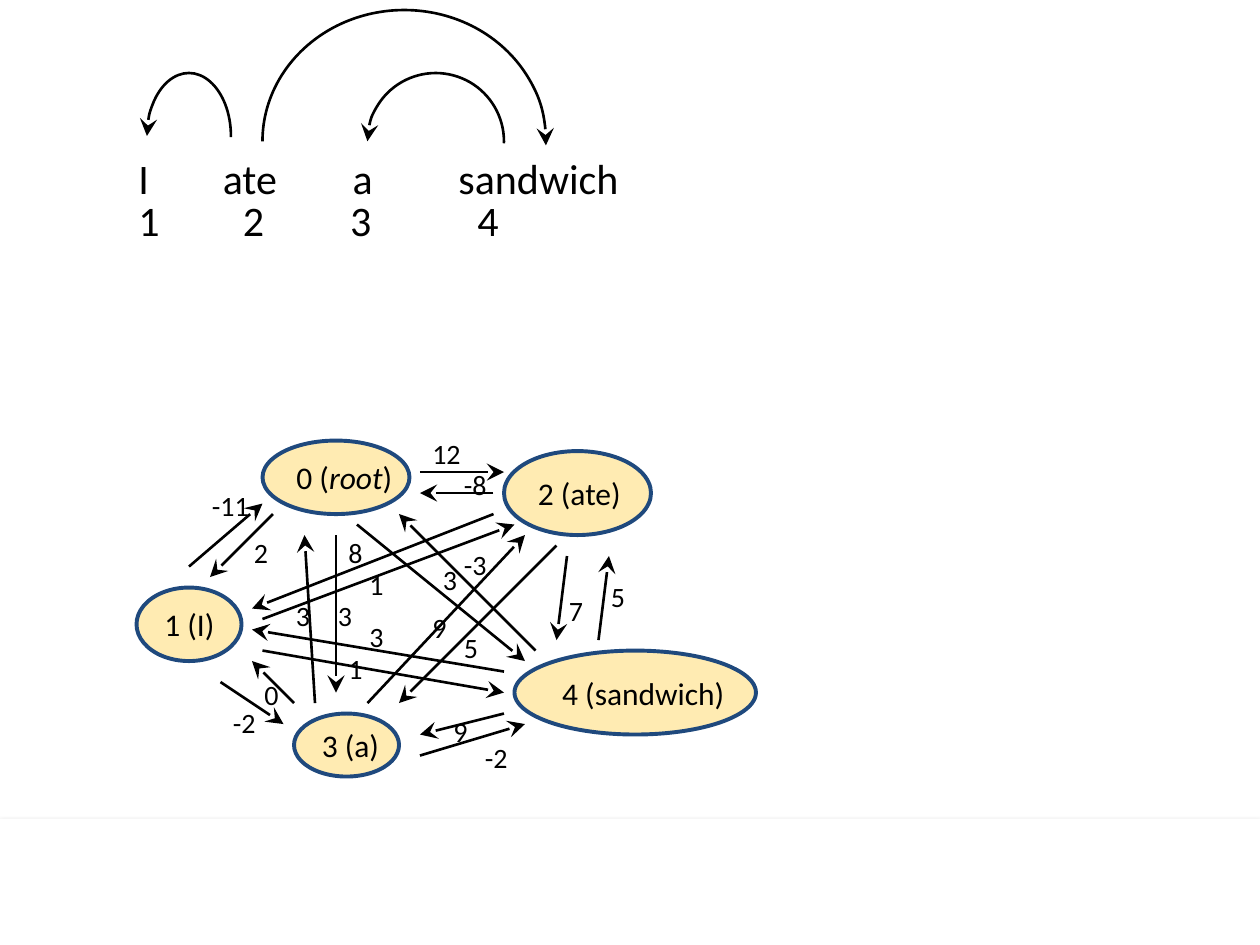
from lxml import etree
from pptx import Presentation
from pptx.dml.color import RGBColor
from pptx.enum import shapes as kinds, text as txt
from pptx.oxml import ns
from pptx.util import Inches, Pt

BLACK, WHITE, NAVY, GOLD = "000000", "FFFFFF", "1F497D", "FFC000"

# Words and their positions, with tab stops in inches from the text edge
WORD_ROWS = [
    (13, ["I", "ate", "a", "sandwich"], [0.67, 1.7, 2.54]),
    (17, ["1", "2", "3", "4"], [0.83, 1.68, 2.69]),
]
# Dependency arcs: left, top, width, height, end that carries the arrowhead
ARCS = [
    (13, 0, 27, 25, "headEnd"),
    (23, 6, 13, 13, "tailEnd"),
    (2, 6, 8, 12, "tailEnd"),
]
# Graph nodes: left, top, width, height, runs as (text, italic)
NODES = [
    (1, 16, 10, 7, [("1 (I)", False)]),
    (36, 3, 14, 8, [("2 (ate)", False)]),
    (16, 28, 10, 6, [("3 (a)", False)]),
    (37, 22, 23, 8, [("4 (sandwich)", False)]),
    (13, 2, 14, 7, [("0 (", False), ("root", True), (")", False)]),
]
# Graph edges: start x, y, end x, y
EDGES = [
    (28, 5, 36, 5), (35, 7, 28, 7),        # root and ate
    (14, 9, 8, 15), (6, 14, 13, 8),        # root and I
    (20, 11, 20, 26), (18, 27, 17, 11),    # root and a
    (22, 10, 38, 23), (39, 22, 26, 9),     # root and sandwich
    (35, 9, 12, 18), (13, 19, 37, 10),     # ate and I
    (41, 12, 26, 27), (23, 27, 38, 11),    # ate and a
    (42, 13, 41, 21), (45, 21, 46, 13),    # ate and sandwich
    (9, 25, 15, 29), (16, 27, 12, 23),     # I and a
    (13, 22, 36, 26), (36, 24, 12, 20),    # I and sandwich
    (28, 32, 38, 29), (36, 28, 28, 30),    # a and sandwich
]
# Edge scores: left, top, width, text
SCORES = [
    (7, 6, 7, "-11"), (11, 10.5, 4, "2"), (28, 1, 7, "12"), (31, 4, 6, "-8"),
    (20, 10.5, 4, "8"), (22, 13.5, 4, "1"), (9, 26.6, 6, "-2"), (12, 24, 4, "0"),
    (45, 14.6, 4, "5"), (41, 16, 4, "7"), (33, 30, 7, "-2"), (30, 27.5, 4, "9"),
    (15, 16.5, 4, "3"), (19, 16.5, 4, "3"), (31, 11.6, 7, "-3"), (29, 13, 4, "3"),
    (28, 17.6, 4, "9"), (31, 19.5, 4, "5"), (20, 21.5, 4, "1"), (22, 18.5, 4, "3"),
]


def color(value):
    return RGBColor.from_string(value)


def grid(*steps):
    """Lengths on a grid of twelfths of an inch."""
    return [Inches(step / 12) for step in steps]


def child(parent, tag, **attributes):
    return etree.SubElement(parent, ns.qn(tag), **attributes)


def add_run(paragraph, words, size, italic=False):
    run = paragraph.add_run()
    run.text = words
    run.font.name = "Calibri"
    run.font.size = Pt(size)
    run.font.italic = italic
    run.font.color.rgb = color(BLACK)


def add_label(slide, box, words, size):
    frame = slide.shapes.add_textbox(*box).text_frame
    frame.word_wrap = True
    paragraph = frame.paragraphs[0]
    add_run(paragraph, words, size)
    return paragraph


def style_arrow(arrow, end):
    arrow.line.color.rgb = color(BLACK)
    arrow.line.width = Pt(1.5)
    child(arrow.line._get_or_add_ln(), "a:" + end, type="stealth", w="lg", len="lg")


def add_footer(slide, left, top, width, height):
    band = slide.shapes.add_shape(kinds.MSO_SHAPE.RECTANGLE, left, top, width, height)
    band.fill.solid()
    band.fill.fore_color.rgb = color(WHITE)
    band.line.fill.background()
    # Soft shadow along the band's edge
    band.shadow.inherit = False
    effects = band._element.spPr.find(ns.qn("a:effectLst"))
    shadow = child(effects, "a:outerShdw", blurRad=str(Pt(3.1)), dist=str(Pt(1.8)),
                   dir="5400000", rotWithShape="0")
    child(child(shadow, "a:srgbClr", val=BLACK), "a:alpha", val="35000")


def add_sentence(slide, left, top):
    # Words and numbers
    for y, words, stops in WORD_ROWS:
        x, y, width, height = grid(0, y, 55, 6)
        paragraph = add_label(slide, (left + x, top + y, width, height),
                              "\t".join(words), 24)
        tabs = child(paragraph._p.get_or_add_pPr(), "a:tabLst")
        for stop in stops:
            child(tabs, "a:tab", pos=str(Inches(stop)), algn="l")
    # Dependency arcs
    for *box, end in ARCS:
        x, y, width, height = grid(*box)
        arc = slide.shapes.add_shape(kinds.MSO_SHAPE.ARC, left + x, top + y, width, height)
        arc.adjustments[0], arc.adjustments[1] = 107, 0
        arc._element.spPr.find(ns.qn("a:xfrm")).set("flipH", "1")
        arc.shadow.inherit = False
        arc.fill.background()
        style_arrow(arc, end)


def add_graph(slide, left, top):
    # Nodes
    for *box, runs in NODES:
        x, y, width, height = grid(*box)
        node = slide.shapes.add_shape(kinds.MSO_SHAPE.OVAL, left + x, top + y, width, height)
        node.shadow.inherit = False
        node.fill.solid()
        node.fill.fore_color.rgb = color(GOLD)
        tint = node._element.spPr.find(".//" + ns.qn("a:srgbClr"))
        child(tint, "a:alpha", val="30000")
        node.line.color.rgb = color(NAVY)
        node.line.width = Pt(2.25)
        frame = node.text_frame
        frame.word_wrap = False
        frame.vertical_anchor = txt.MSO_ANCHOR.MIDDLE
        paragraph = frame.paragraphs[0]
        paragraph.alignment = txt.PP_ALIGN.LEFT
        for words, italic in runs:
            add_run(paragraph, words, 18, italic)
    # Edges
    for ends in EDGES:
        x1, y1, x2, y2 = grid(*ends)
        edge = slide.shapes.add_connector(kinds.MSO_CONNECTOR.STRAIGHT, left + x1,
                                          top + y1, left + x2, top + y2)
        style_arrow(edge, "tailEnd")
        child(edge._element.spPr, "a:effectLst")
    # Scores
    for x, y, width, score in SCORES:
        x, y, width = grid(x, y, width)
        add_label(slide, (left + x, top + y, width, Inches(0.37)), score, 16)


def main():
    deck = Presentation()
    deck.slide_width, deck.slide_height = Inches(10), Inches(7.5)
    slide = deck.slides.add_slide(deck.slide_layouts[6])
    add_footer(slide, Inches(0), Inches(6.5), Inches(10), Inches(1))
    add_sentence(slide, Inches(1), Inches(0.08))
    add_graph(slide, Inches(1), Inches(3.33))
    deck.save("out.pptx")


if __name__ == "__main__":
    main()
